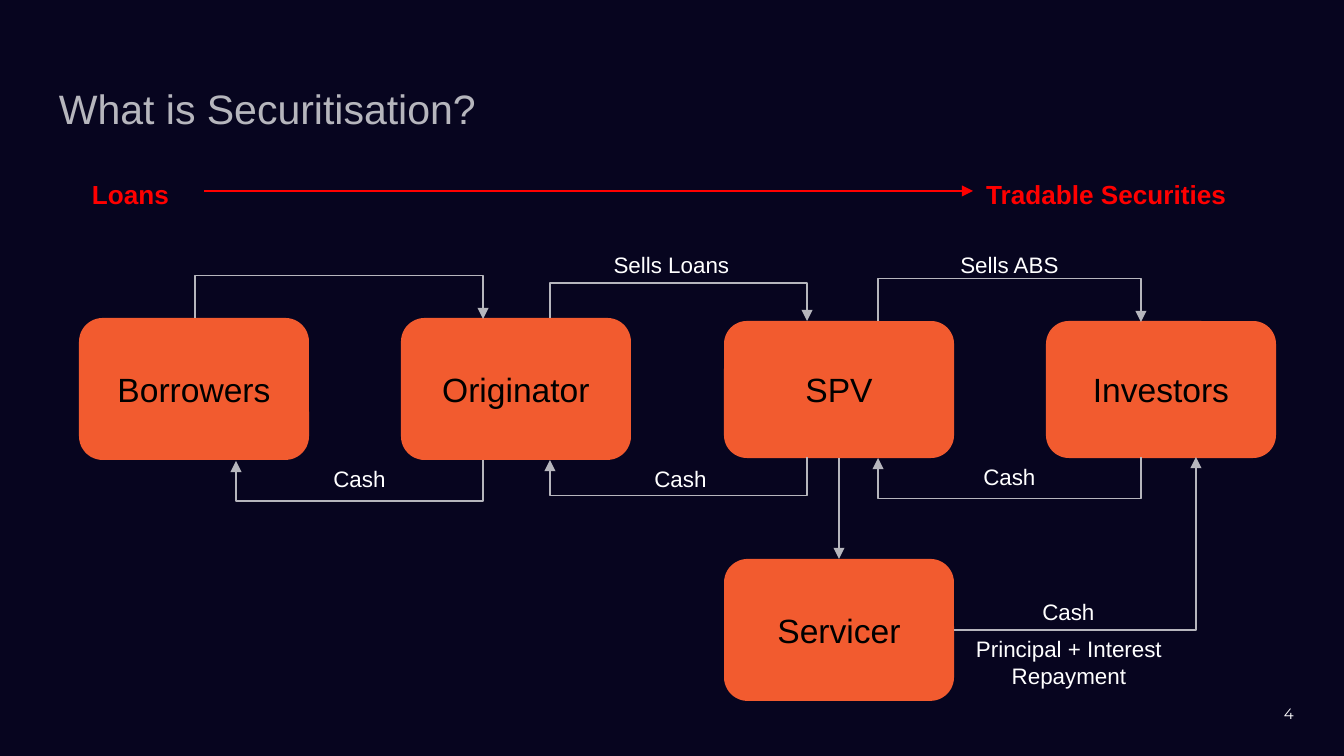
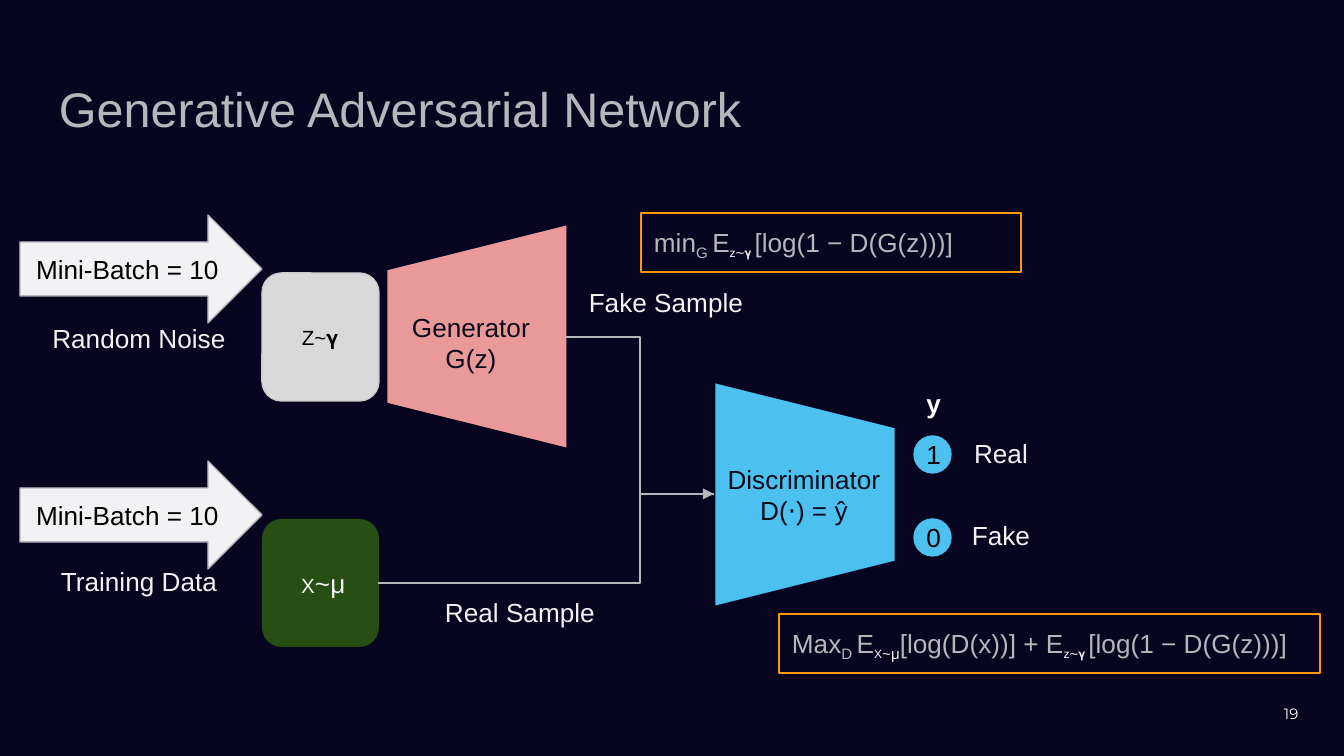
from lxml.etree import SubElement
from pptx import Presentation
from pptx.dml.color import RGBColor as RGB
from pptx.enum.shapes import MSO_CONNECTOR as LINK, MSO_SHAPE as SHAPE
from pptx.enum.text import MSO_ANCHOR as ANCHOR, MSO_AUTO_SIZE as FIT, PP_ALIGN as ALIGN
from pptx.oxml.ns import qn
from pptx.util import Emu, Pt

PX = 914400 / 134.4
FONT = "Arial"
NAVY = RGB(0x07, 0x05, 0x1F)
GREY = RGB(0xB6, 0xB6, 0xBD)
WHITE = RGB(0xFF, 0xFF, 0xFF)
BLACK = RGB(0x00, 0x00, 0x00)
INK = RGB(0x0B, 0x0B, 0x1C)
PALE = RGB(0xF2, 0xF2, 0xF5)
RED = RGB(0xFF, 0x00, 0x00)
RUST = RGB(0xF2, 0x5B, 0x2F)
PINK = RGB(0xEA, 0x99, 0x99)
BLUE = RGB(0x4C, 0xC1, 0xEF)
GREEN = RGB(0x27, 0x4E, 0x13)
SILVER = RGB(0xD9, 0xD9, 0xD9)
EDGE = RGB(0xCC, 0xCC, 0xCC)
AMBER = RGB(0xFF, 0x99, 0x00)


def px(*nums):
    return [Emu(round(n * PX)) for n in nums]


class Deck:
    def __init__(self):
        self.prs = Presentation()
        self.prs.slide_width, self.prs.slide_height = px(1344, 756)
        fill = self.prs.slide_master.background.fill
        fill.solid()
        fill.fore_color.rgb = NAVY

    def page(self, title, size, number):
        self.slide = self.prs.slides.add_slide(self.prs.slide_layouts[5])
        self.shapes = self.slide.shapes
        head = self.shapes.title
        head.left, head.top, head.width, head.height = px(46, 66, 1252, 85)
        self.put(head, title, size, GREY, align=ALIGN.LEFT)
        self.text((1275, 700, 63, 40), number, 8, WHITE, align=ALIGN.LEFT,
                  anchor=ANCHOR.TOP, pad=(9, 5), font="Montserrat")

    def put(self, shape, rows, size, color, bold=False, align=ALIGN.CENTER,
            anchor=ANCHOR.MIDDLE, pad=(13, 13), font=FONT):
        """Fill a shape with lines of a string, or with one line of
        (text, size, color, baseline) runs."""
        frame = shape.text_frame
        frame.word_wrap = True
        frame.auto_size = FIT.NONE
        frame.vertical_anchor = anchor
        frame.margin_left, frame.margin_top = px(*pad)
        frame.margin_right, frame.margin_bottom = px(pad[0] if font != FONT else 13, pad[1])
        if isinstance(rows, str):
            rows = [[(row, size, color, 0)] for row in rows.split("\n")]
        else:
            rows = [rows]
        for i, row in enumerate(rows):
            para = frame.add_paragraph() if i else frame.paragraphs[0]
            para.alignment = align
            for words, pts, tint, base in row:
                run = para.add_run()
                run.text = words
                run.font.name = font
                run.font.size = Pt(pts)
                run.font.bold = bold
                run.font.color.rgb = tint
                if base:
                    run.font._element.set("baseline", str(base * 1000))

    def text(self, at, rows, size, color, **style):
        self.put(self.shapes.add_textbox(*px(*at)), rows, size, color, **style)

    def box(self, kind, at, fill=None, edge=None, turn=0):
        shape = self.shapes.add_shape(kind, *px(*at))
        shape.shadow.inherit = False
        shape.rotation = turn
        if fill is None:
            shape.fill.background()
        else:
            shape.fill.solid()
            shape.fill.fore_color.rgb = fill
        if edge is None:
            shape.line.fill.background()
        else:
            shape.line.color.rgb = edge
            shape.line.width = Pt(0.75)
        return shape

    def line(self, ends, color=GREY, head=True, kind=LINK.STRAIGHT):
        link = self.shapes.add_connector(kind, *px(*ends))
        link.line.color.rgb = color
        link.line.width = Pt(0.75)
        if head:
            SubElement(link.line._get_or_add_ln(), qn("a:tailEnd"), type="triangle")
        SubElement(link._element.spPr, qn("a:effectLst"))
        return link

    def bend(self, ends, ratio=None, head=True):
        """Elbow with its middle leg at ratio, or with one corner if None."""
        link = self.line(ends, head=head, kind=LINK.ELBOW)
        geom = link._element.spPr.find(qn("a:prstGeom"))
        if ratio is None:
            geom.set("prst", "bentConnector2")
        else:
            SubElement(geom.find(qn("a:avLst")), qn("a:gd"), name="adj1",
                       fmla=f"val {round(ratio * 100000)}")
        return link

    def loop(self, x1, y1, x2, y2, level):
        """Leave and arrive upright, with the middle leg at height level."""
        drop, span = max(y2 - y1, 1), abs(x2 - x1)
        left, top = (x1 + x2 - drop) / 2, (y1 + y1 + drop - span) / 2
        link = self.bend((left, top, left + drop, top + span), (level - y1) / drop)
        xfrm = link._element.spPr.find(qn("a:xfrm"))
        if x2 > x1:
            xfrm.set("flipH", "1")
        xfrm.set("rot", str((270 if x2 > x1 else 90) * 60000))


def loans(deck):
    deck.page("What is Securitisation?", 22, "4")
    high, low = (318, 142), (321, 137)
    nodes = {}
    for name, col, (top, tall) in (("Borrowers", 0, high), ("Originator", 1, high),
                                   ("SPV", 2, low), ("Investors", 3, low),
                                   ("Servicer", 2, (559, 142))):
        node = deck.box(SHAPE.ROUNDED_RECTANGLE, (79 + col * 645 // 2, top, 230, tall), RUST)
        deck.put(node, name, 18, BLACK)
        nodes[name] = node

    for route in ((195, 318, 483, 318, 276), (550, 318, 807, 321, 283),
                  (878, 321, 1141, 321, 279), (483, 460, 236, 460, 501),
                  (807, 457, 550, 460, 495), (1141, 457, 878, 457, 498)):
        deck.loop(*route)
    down = deck.line((839, 458, 839, 559))
    down.begin_connect(nodes["SPV"], 2)
    down.end_connect(nodes["Servicer"], 0)
    deck.bend((954, 630, 1196, 457))

    for words, left, top in (("Cash", 607, 459), ("Cash", 286, 459), ("Cash", 936, 457),
                             ("Sells Loans", 598, 245), ("Sells ABS", 936, 245),
                             ("Cash", 995, 592)):
        deck.text((left, top, 147, 39), words, 12, WHITE)
    deck.text((954, 633, 230, 58), "Principal + Interest Repayment", 12, WHITE)
    for words, left, wide in (("Loans", 79, 125), ("Tradable Securities", 973, 304)):
        deck.text((left, 165, wide, 51), words, 14, RED, bold=True,
                  align=ALIGN.LEFT, anchor=ANCHOR.TOP)
    deck.line((204, 191, 973, 191), RED)


def network(deck):
    deck.page("Generative Adversarial Network", 26, "19")
    for at, fill, turn in (((366, 247, 222, 179), PINK, 270), ((694, 405, 222, 179), BLUE, 90)):
        deck.box(SHAPE.TRAPEZOID, at, fill, turn=turn).adjustments[0] = 0.25
    noise = deck.box(SHAPE.ROUNDED_RECTANGLE, (262, 273, 117, 128), SILVER, EDGE)
    deck.put(noise, [(" ", 10, BLACK, 0), ("Z~𝛄", 11, BLACK, 0)], 11, BLACK, pad=(7, 13))
    data = deck.box(SHAPE.ROUNDED_RECTANGLE, (262, 519, 117, 128), GREEN)
    deck.put(data, [(" X", 11, WHITE, 0), ("~μ", 14, PALE, 0)], 14, PALE)

    join = 640
    for x, y, head in ((566, 337, False), (378, 583, True)):
        deck.bend((x, y, 714, 494), (join - x) / (714 - x), head)

    for words, at, color in (("Generator\nG(z)", (371, 298, 200, 85), INK),
                             ("Discriminator\nD(⋅) = ŷ", (704, 450, 200, 89), INK),
                             ("Random Noise", (39, 309, 200, 62), PALE),
                             ("Training Data", (39, 552, 200, 62), PALE),
                             ("Real", (951, 424, 100, 62), PALE),
                             ("Fake", (951, 506, 100, 62), PALE),
                             ("Real Sample", (399, 583, 242, 62), PALE),
                             ("Fake Sample", (566, 273, 200, 62), PALE)):
        deck.text(at, words, 14, color, anchor=ANCHOR.TOP)

    for label, top, fill, color in (("y", 385, None, WHITE), ("1", 436, BLUE, BLACK),
                                    ("0", 519, BLUE, BLACK)):
        dot = deck.box(SHAPE.OVAL, (914, top, 37, 37), fill, fill)
        deck.put(dot, label, 14, color, bold=fill is None, pad=(7, 13))
    for top in (215, 461):
        arrow = deck.box(SHAPE.RIGHT_ARROW, (20, top, 242, 108), PALE, GREY)
        deck.put(arrow, "Mini-Batch = 10", 14, BLACK)

    def plain(words):
        return (words, 14, GREY, 0)

    def sub(words, size=14, color=GREY):
        return (words, size, color, -25)

    tail = [sub("z", 11, WHITE), sub("~", 14, PALE), sub("𝛄 ", 11, PALE),
            plain("[log(1 − D(G(z)))]")]
    least = [plain("min"), sub("G "), plain("E")]
    most = [plain("Max"), sub("D "), plain("E"), sub("X", 11, WHITE), sub("~μ", 14, PALE),
            plain("[log(D(x))] + E")]
    for at, start in (((779, 614, 541, 59), most), ((641, 213, 380, 59), least)):
        goal = deck.box(SHAPE.RECTANGLE, at, edge=AMBER)
        deck.put(goal, start + tail, 14, GREY, align=ALIGN.LEFT, anchor=ANCHOR.TOP)


def main():
    deck = Deck()
    loans(deck)
    network(deck)
    deck.prs.save("out.pptx")


if __name__ == "__main__":
    main()
